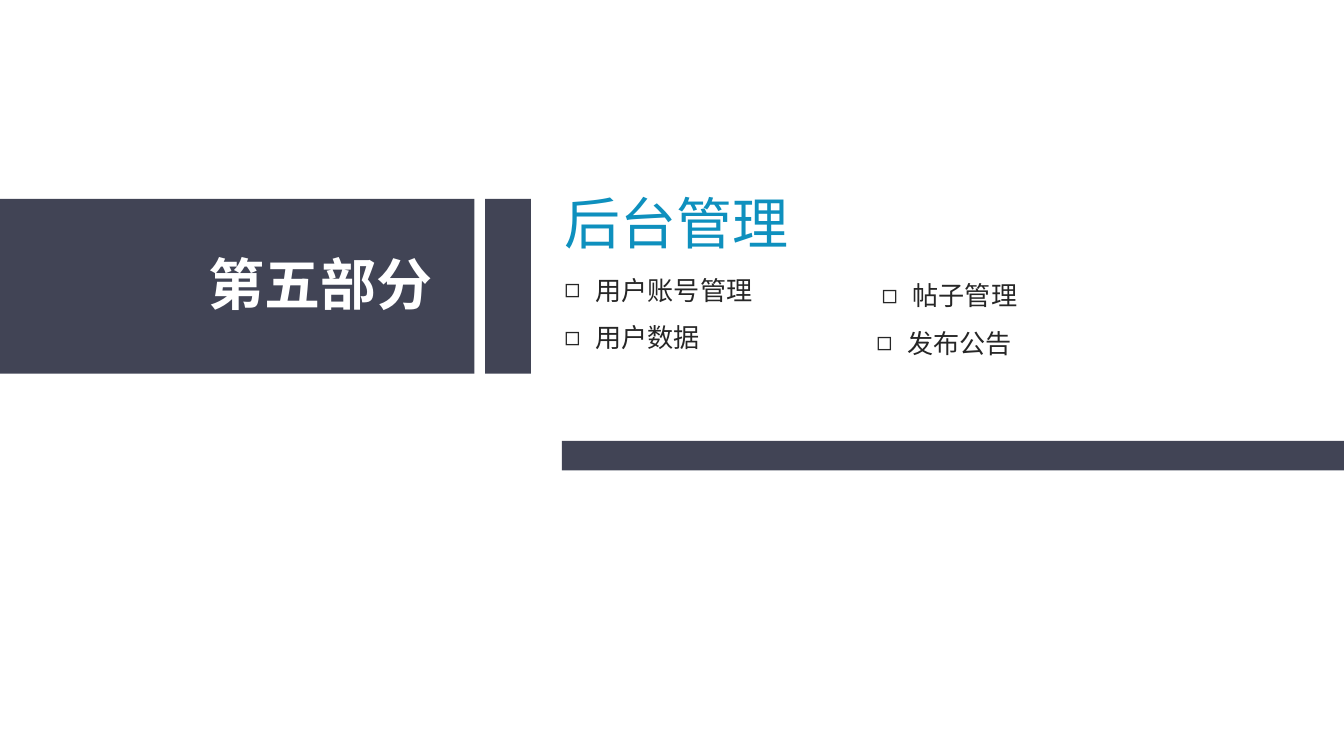
from lxml.etree import SubElement
from pptx import Presentation
from pptx.dml.color import RGBColor
from pptx.enum.shapes import MSO_SHAPE
from pptx.enum.text import MSO_ANCHOR, MSO_AUTO_SIZE, PP_ALIGN
from pptx.oxml.ns import qn
from pptx.util import Inches, Pt

COLORS = {"band": "414455", "label": "FFFFFF", "title": "0E90BE", "item": "262626"}
CJK_FONT = "Noto Sans CJK SC"
TITLE_FONT = "Arial Narrow"

BANDS = [
    (0, 1.48, 3.53, 1.3),
    (3.61, 1.48, 0.34, 1.3),
    (4.18, 3.28, 5.82, 0.22),
]
LABEL = ("第五部分", (1.48, 1.82, 1.84, 0.58))
TITLE = ("后台管理", (4.13, 1.36, 1.83, 0.58))
HANGING = 0.23
COLUMNS = [
    ((4.13, 2, 1.6, 0.67), [("用户账号管理", 0), ("用户数据", 0)]),
    ((6.45, 2.04, 1.25, 0.67), [("帖子管理", 0.04), ("发布公告", 0)]),
]


def place(shape, box):
    shape.left, shape.top, shape.width, shape.height = map(Inches, box)


def prepare_text(shape, wrap):
    frame = shape.text_frame
    frame.margin_left = frame.margin_right = Inches(0.07)
    frame.margin_top = frame.margin_bottom = Inches(0.04)
    frame.vertical_anchor = MSO_ANCHOR.TOP
    frame.auto_size = MSO_AUTO_SIZE.NONE
    frame.word_wrap = wrap
    return frame


def add_run(paragraph, text, size, color, font_name=CJK_FONT, bold=False):
    paragraph.alignment = PP_ALIGN.LEFT
    run = paragraph.add_run()
    run.text = text
    run.font.size = Pt(size)
    run.font.bold = bold
    run.font.name = font_name
    run.font.color.rgb = RGBColor.from_string(COLORS[color])
    east_asian = SubElement(run.font._element, qn("a:ea"))
    east_asian.set("typeface", CJK_FONT)


def add_bullet(paragraph, offset):
    properties = paragraph._p.get_or_add_pPr()
    properties.set("marL", str(Inches(HANGING + offset)))
    properties.set("indent", str(-Inches(HANGING)))
    SubElement(properties, qn("a:buChar")).set("char", "◻")


def add_band(slide, box):
    band = slide.shapes.add_shape(MSO_SHAPE.RECTANGLE, *map(Inches, box))
    band.shadow.inherit = False
    band.fill.solid()
    band.fill.fore_color.rgb = RGBColor.from_string(COLORS["band"])
    band.line.fill.background()


def fill_column(placeholder, box, items):
    place(placeholder, box)
    frame = prepare_text(placeholder, True)
    for index, (text, offset) in enumerate(items):
        paragraph = frame.add_paragraph() if index else frame.paragraphs[0]
        paragraph.line_spacing = 1.0
        paragraph.space_before = Pt(8.6 if index else 0)
        add_bullet(paragraph, offset)
        add_run(paragraph, text, 14, "item")


def main():
    presentation = Presentation()
    presentation.slide_width = Inches(10)
    presentation.slide_height = presentation.slide_width * 9 // 16
    slide = presentation.slides.add_slide(presentation.slide_layouts[3])

    for box in BANDS:
        add_band(slide, box)

    label_text, label_box = LABEL
    label = slide.shapes.add_textbox(*map(Inches, label_box))
    add_run(prepare_text(label, False).paragraphs[0], label_text, 30, "label", bold=True)

    title_text, title_box = TITLE
    title = slide.shapes.title
    place(title, title_box)
    add_run(prepare_text(title, False).paragraphs[0], title_text, 30, "title", TITLE_FONT)

    for index, (box, items) in enumerate(COLUMNS, start=1):
        fill_column(slide.placeholders[index], box, items)

    presentation.save("out.pptx")


if __name__ == "__main__":
    main()
